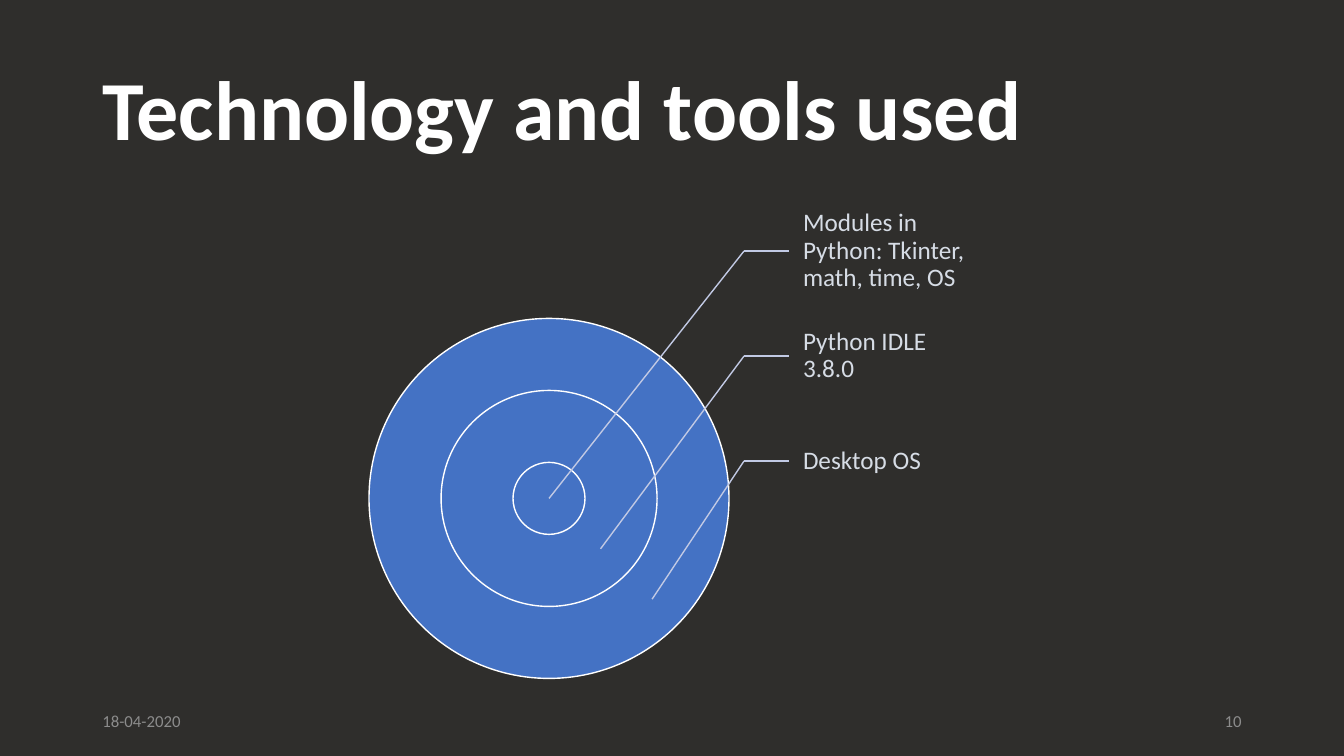
from lxml.etree import SubElement
from pptx import Presentation
from pptx.dml.color import RGBColor
from pptx.enum.shapes import MSO_CONNECTOR, MSO_SHAPE
from pptx.enum.text import MSO_ANCHOR, PP_ALIGN
from pptx.oxml.ns import qn
from pptx.util import Pt

BACKGROUND = RGBColor(0x2F, 0x2E, 0x2C)
WHITE = RGBColor(0xFF, 0xFF, 0xFF)
RING_BLUE = RGBColor(0x44, 0x72, 0xC4)
LEADER_BLUE = RGBColor(0xC1, 0xC9, 0xE4)
LABEL_GREY = RGBColor(0xD6, 0xDC, 0xE5)
FOOTER_GREY = RGBColor(0x8C, 0x8C, 0x8C)

TOOLS = ["Modules in Python: Tkinter, math, time, OS", "Python IDLE 3.8.0", "Desktop OS"]
INSETS = {"margin_left": Pt(10), "margin_top": Pt(2.3), "margin_right": Pt(2.3), "margin_bottom": Pt(2.3)}


def add_text(slide, box, wording, font, paragraph=None, frame=None):
    """Place middle-anchored wording in a box with the given formats."""
    text_frame = slide.shapes.add_textbox(*map(Pt, box)).text_frame
    text_frame.text = wording
    line = text_frame.paragraphs[0]
    line.font.color.rgb = font["color"]
    formats = [
        (text_frame, {"word_wrap": True, "vertical_anchor": MSO_ANCHOR.MIDDLE, **(frame or {})}),
        (line, paragraph or {}),
        (line.font, {"name": "Calibri", "size": Pt(font["size"]), "bold": font.get("bold", False)}),
    ]
    for target, values in formats:
        for key, value in values.items():
            setattr(target, key, value)


def add_ring(slide, center_x, center_y, radius):
    """Draw one ring of the target around its center."""
    box = (center_x - radius, center_y - radius, 2 * radius, 2 * radius)
    ring = slide.shapes.add_shape(MSO_SHAPE.OVAL, *map(Pt, box))
    ring.shadow.inherit = False
    ring.fill.solid()
    ring.fill.fore_color.rgb = RING_BLUE
    ring.line.color.rgb = WHITE
    ring.line.width = Pt(1)


def add_leader(slide, start, end):
    """Draw a thin leader segment between two points."""
    leader = slide.shapes.add_connector(MSO_CONNECTOR.STRAIGHT, *map(Pt, (*start, *end)))
    leader.line.color.rgb = LEADER_BLUE
    leader.line.width = Pt(1)
    SubElement(leader._element.spPr, qn("a:effectLst"))


def add_target(slide, left, top, width, height):
    """Draw concentric rings with a labelled leader for each tool."""
    radius = 0.3 * width
    center_x, center_y = left + radius, top + height - radius
    for share in (5, 3, 1):
        add_ring(slide, center_x, center_y, radius * share / 5)

    label_left, label_height = left + 0.7 * width, 0.175 * width
    bend_x = label_left - 0.075 * width
    for index, tool in enumerate(TOOLS):
        label_top = top + index * label_height
        bend = (bend_x, label_top + label_height / 2)
        add_text(slide, (label_left, label_top, 0.3 * width, label_height), tool,
                 {"size": 18, "color": LABEL_GREY}, {"line_spacing": 0.9}, INSETS)
        add_leader(slide, bend, (label_left, bend[1]))
        add_leader(slide, bend, (center_x + index * 36.8, center_y + index * 36))


def add_title(slide, left, top, width, height):
    """Write the slide heading in its box."""
    add_text(slide, (left, top, width, height), "Technology and tools used",
             {"size": 60, "color": WHITE, "bold": True}, {"line_spacing": 0.9})


def add_footer(slide, left, top, width, height):
    """Write the date and the slide number at the two ends of the box."""
    entry_width = 216
    for wording, entry_left, alignment in (
        ("18-04-2020", left, PP_ALIGN.LEFT),
        ("10", left + width - entry_width, PP_ALIGN.RIGHT),
    ):
        add_text(slide, (entry_left, top, entry_width, height), wording,
                 {"size": 12, "color": FOOTER_GREY}, {"alignment": alignment})


def main():
    """Build the slide and save it."""
    deck = Presentation()
    deck.slide_width, deck.slide_height = Pt(960), Pt(540)
    slide = deck.slides.add_slide(deck.slide_layouts[6])
    slide.background.fill.solid()
    slide.background.fill.fore_color.rgb = BACKGROUND
    add_title(slide, 66, 28.75, 828, 104.4)
    add_target(slide, 263.6, 141.8, 428.6, 342.8)
    add_footer(slide, 66, 500.5, 828, 28.75)
    deck.save("out.pptx")


if __name__ == "__main__":
    main()
